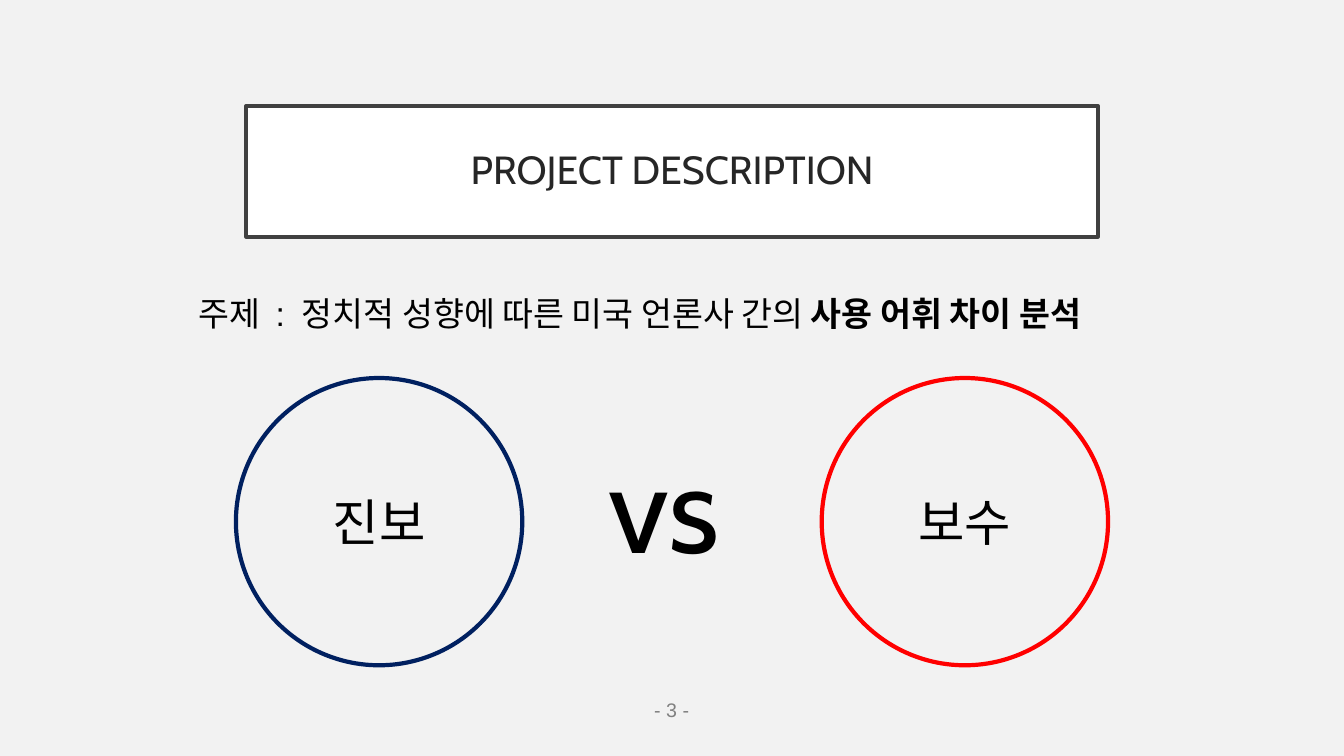
"""Build the project description slide comparing two political leanings."""
from dataclasses import dataclass

from pptx import Presentation
from pptx.dml.color import RGBColor
from pptx.enum.shapes import MSO_SHAPE
from pptx.enum.text import MSO_ANCHOR, MSO_AUTO_SIZE, PP_ALIGN
from pptx.shapes.autoshape import Shape
from pptx.slide import Slide
from pptx.text.text import TextFrame
from pptx.util import Emu, Pt

EMU_PER_PX = 9144


@dataclass(frozen=True)
class Theme:
    background: str = "F2F2F2"
    panel: str = "FFFFFF"
    border: str = "404040"
    heading: str = "262626"
    text: str = "000000"
    muted: str = "808080"
    liberal: str = "002060"
    conservative: str = "FF0000"
    title_size: int = 28
    topic_size: int = 24
    side_size: int = 36
    versus_size: int = 88
    number_size: int = 14
    body_font: str = "Arial"
    display_font: str = "Cabin"


@dataclass(frozen=True)
class Box:
    left: int
    top: int
    width: int
    height: int


@dataclass(frozen=True)
class Span:
    text: str
    bold: bool = False
    spacing: int = 0


@dataclass(frozen=True)
class Label:
    box: Box
    spans: tuple[Span, ...]
    size: int
    font: str
    color: str
    wrap: bool = True


@dataclass(frozen=True)
class Side:
    name: str
    left: int
    color: str


THEME = Theme()
TITLE_BOX = Box(244, 105, 845, 130)
SIDES = (
    Side("진보", 234, THEME.liberal),
    Side("보수", 815, THEME.conservative),
)
TOPIC = (
    Span("주제"),
    Span(" :", spacing=550),
    Span(" 정치적 성향에 따른 미국 언론사 간의 "),
    Span("사용 어휘 차이 분석", bold=True),
)
LABELS = (
    Label(Box(187, 286, 1039, 50), TOPIC, THEME.topic_size, THEME.body_font, THEME.text),
    Label(Box(594, 422, 145, 158), (Span("vs"),), THEME.versus_size,
          THEME.display_font, THEME.text),
    Label(Box(639, 687, 55, 34), (Span("- 3 -"),), THEME.number_size,
          THEME.body_font, THEME.muted, wrap=False),
)


def px(length: int) -> Emu:
    """Turn px into EMU."""
    return Emu(length * EMU_PER_PX)


def place(box: Box) -> tuple[Emu, Emu, Emu, Emu]:
    """Give the four EMU lengths of a box."""
    return px(box.left), px(box.top), px(box.width), px(box.height)


def write(frame: TextFrame, spans: tuple[Span, ...], size: int, font: str, color: str,
          align: PP_ALIGN = PP_ALIGN.LEFT) -> None:
    """Write spans as the runs of the first paragraph."""
    para = frame.paragraphs[0]
    para.alignment = align
    for span in spans:
        run = para.add_run()
        run.text = span.text
        run.font.size = Pt(size)
        run.font.name = font
        run.font.bold = span.bold
        run.font.color.rgb = RGBColor.from_string(color)
        if span.spacing:
            run.font._element.set("spc", str(span.spacing))


def outline(shape: Shape, color: str, width: float) -> None:
    """Set the outline of a shape."""
    shape.line.color.rgb = RGBColor.from_string(color)
    shape.line.width = Pt(width)


def add_title(page: Slide, text: str) -> None:
    """Move and format the title placeholder."""
    title = page.shapes.title
    title.left, title.top, title.width, title.height = place(TITLE_BOX)
    title.fill.solid()
    title.fill.fore_color.rgb = RGBColor.from_string(THEME.panel)
    outline(title, THEME.border, 2.5)
    frame = title.text_frame
    frame.auto_size = MSO_AUTO_SIZE.NONE
    frame.vertical_anchor = MSO_ANCHOR.MIDDLE
    frame.margin_left = frame.margin_right = px(20)
    frame.margin_top = frame.margin_bottom = px(20)
    write(frame, (Span(text),), THEME.title_size, THEME.display_font,
          THEME.heading, PP_ALIGN.CENTER)
    frame.paragraphs[0].line_spacing = 0.9


def add_side(page: Slide, side: Side) -> None:
    """Draw one outlined circle with its name."""
    circle = page.shapes.add_shape(MSO_SHAPE.OVAL, *place(Box(side.left, 375, 284, 285)))
    circle.shadow.inherit = False
    circle.fill.background()
    outline(circle, side.color, 3)
    circle.text_frame.vertical_anchor = MSO_ANCHOR.MIDDLE
    write(circle.text_frame, (Span(side.name),), THEME.side_size, THEME.body_font,
          THEME.text, PP_ALIGN.CENTER)


def add_label(page: Slide, label: Label) -> None:
    """Draw one text box."""
    frame = page.shapes.add_textbox(*place(label.box)).text_frame
    frame.word_wrap = label.wrap
    frame.auto_size = MSO_AUTO_SIZE.SHAPE_TO_FIT_TEXT
    write(frame, label.spans, label.size, label.font, label.color)


def main() -> None:
    """Build and save the deck."""
    deck = Presentation()
    deck.slide_width, deck.slide_height = px(1333), px(750)
    page = deck.slides.add_slide(deck.slide_layouts[5])
    page.background.fill.solid()
    page.background.fill.fore_color.rgb = RGBColor.from_string(THEME.background)
    add_title(page, "PROJECT DESCRIPTION")
    for side in SIDES:
        add_side(page, side)
    for label in LABELS:
        add_label(page, label)
    deck.save("out.pptx")


if __name__ == "__main__":
    main()
